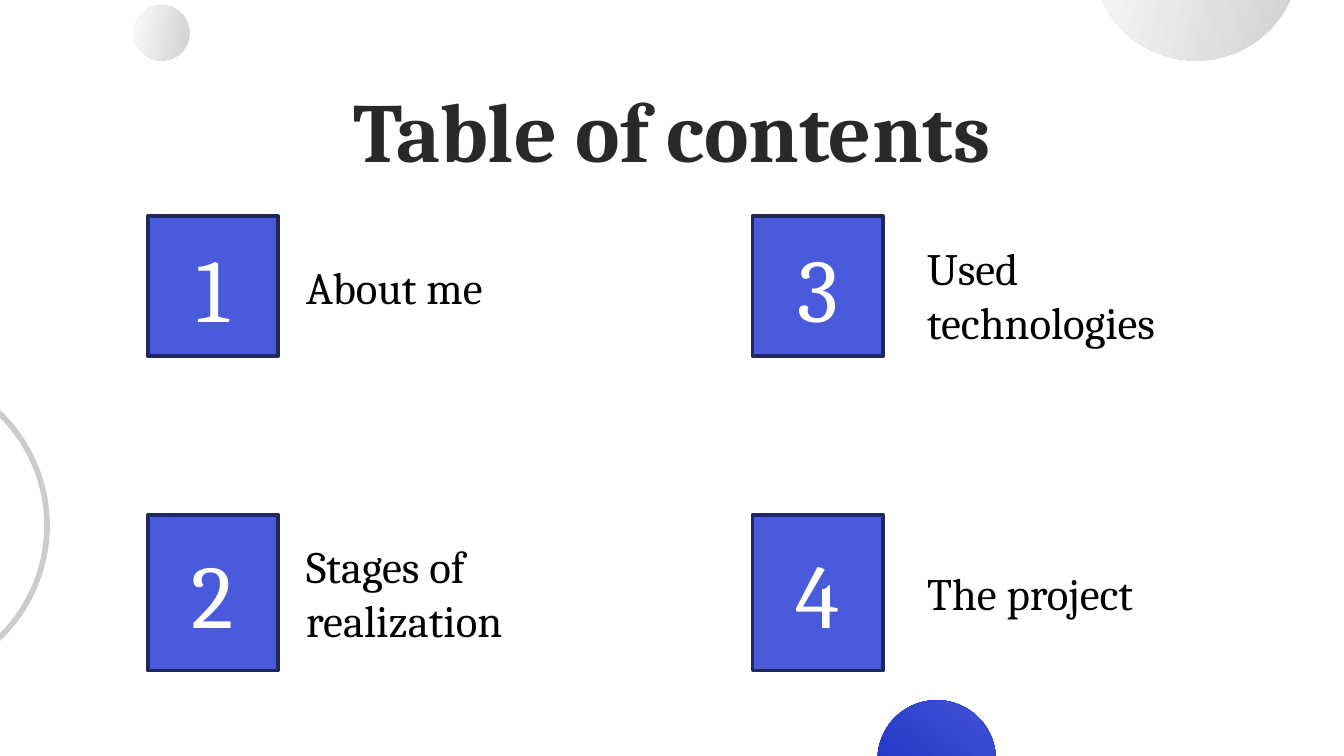
from pptx import Presentation
from pptx.dml.color import RGBColor
from pptx.enum.shapes import MSO_SHAPE
from pptx.enum.text import MSO_ANCHOR, PP_ALIGN
from pptx.util import Inches, Pt

TITLE = {"name": "Cambria", "size": Pt(45), "bold": True}
NUMBER = {"name": "Cambria", "size": Pt(48), "bold": False}
LABEL = {"name": "Cambria", "size": Pt(24), "bold": False}


def color(value):
    """Turn a hex string into a colour."""
    return RGBColor.from_string(value)


def write(shape, text, style, ink, align, anchor):
    """Write one formatted paragraph into a shape."""
    frame = shape.text_frame
    frame.word_wrap = True
    frame.vertical_anchor = anchor
    para = frame.paragraphs[0]
    para.alignment = align
    span = para.add_run()
    span.text = text
    for name, value in style.items():
        setattr(span.font, name, value)
    span.font.color.rgb = color(ink)


def add_shape(page, kind, box):
    """Add a preset shape without shadow at left, top, width, height."""
    shape = page.shapes.add_shape(kind, *map(Inches, box))
    shape.shadow.inherit = False
    return shape


def add_ball(page, box, rotation, shades):
    """Add a borderless circle with a two-shade gradient."""
    ball = add_shape(page, MSO_SHAPE.OVAL, box)
    ball.rotation = rotation
    ball.line.fill.background()
    ball.fill.gradient()
    ball.fill.gradient_angle = 270
    for stop, shade in zip(ball.fill.gradient_stops, shades):
        stop.color.rgb = color(shade)


def add_ring(page, box):
    """Add an outlined circle."""
    ring = add_shape(page, MSO_SHAPE.OVAL, box)
    ring.fill.background()
    ring.line.color.rgb = color("CCCCCC")
    ring.line.width = Pt(3)


def add_decoration(page):
    """Place the circles around the page edges."""
    gray, blue = ("CCCCCC", "FFFFFF"), ("1125BE", "495BDA")
    add_ball(page, (8.13, -1.09, 1.54, 1.54), 101.3, gray)
    add_ball(page, (6.53, 5.21, 0.88, 0.88), 217.6, blue)
    add_ball(page, (1, 0.04, 0.41, 0.41), 101.3, gray)
    add_ring(page, (-1.97, 2.75, 2.32, 2.32))


def add_title(page, text, box):
    """Move and fill the title placeholder."""
    title = page.shapes.title
    title.left, title.top, title.width, title.height = map(Inches, box)
    frame = title.text_frame
    for side in ("left", "top", "right", "bottom"):
        setattr(frame, f"margin_{side}", Inches(0.1))
    write(title, text, TITLE, "292929", PP_ALIGN.CENTER, MSO_ANCHOR.MIDDLE)


def add_entry(page, number, text, box, label_box):
    """Add a numbered tile and its label, placed relative to the tile."""
    left, top, width, height = box
    tile = add_shape(page, MSO_SHAPE.RECTANGLE, box)
    tile.fill.solid()
    tile.fill.fore_color.rgb = color("495BDA")
    tile.line.color.rgb = color("202860")
    tile.line.width = Pt(2)
    write(tile, str(number), NUMBER, "FFFFFF", PP_ALIGN.CENTER, MSO_ANCHOR.MIDDLE)
    gap, drop, label_width, label_height = label_box
    label = page.shapes.add_textbox(
        Inches(left + width + gap), Inches(top + drop),
        Inches(label_width), Inches(label_height))
    write(label, text, LABEL, "000000", PP_ALIGN.LEFT, MSO_ANCHOR.TOP)


def add_contents(page, left, top):
    """Lay out the entries down two columns."""
    entries = [
        ("About me", (0.11, 0.27, 1.66, 0.5)),
        ("Stages of realization", (0.11, 0.13, 2.75, 0.91)),
        ("Used technologies", (0.23, 0.13, 2.06, 0.91)),
        ("The project", (0.23, 0.33, 1.89, 0.5)),
    ]
    heights = (1.04, 1.16)
    for index, (text, label_box) in enumerate(entries):
        column, row = divmod(index, 2)
        box = (left + 4.5 * column, top + 2.22 * row, 0.97, heights[row])
        add_entry(page, index + 1, text, box, label_box)


def main():
    """Build and save the contents slide."""
    deck = Presentation()
    deck.slide_width = Inches(10)
    deck.slide_height = deck.slide_width * 9 // 16
    page = deck.slides.add_slide(deck.slide_layouts[5])
    add_decoration(page)
    add_title(page, "Table of contents", (0.78, 0.49, 8.44, 0.94))
    add_contents(page, 1.1, 1.61)
    deck.save("out.pptx")


if __name__ == "__main__":
    main()
